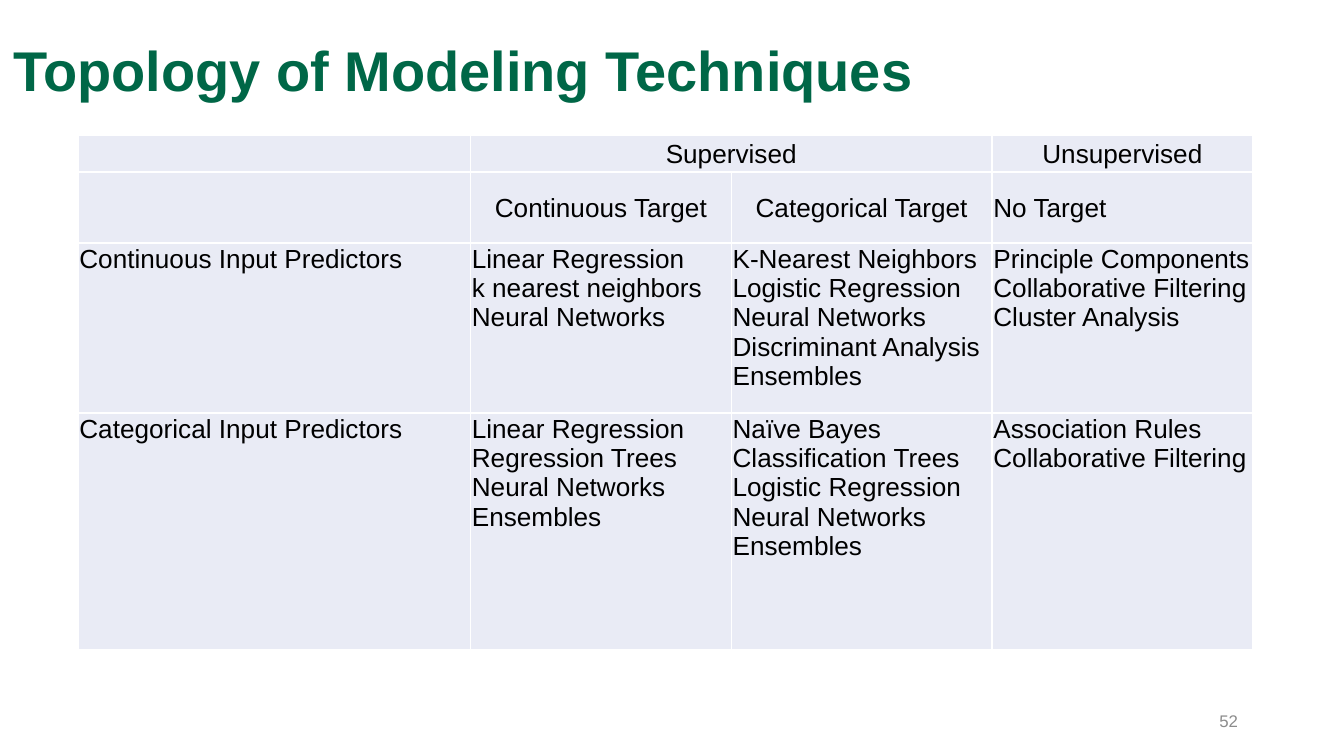
from lxml.etree import SubElement
from pptx import Presentation
from pptx.dml.color import RGBColor
from pptx.enum.text import MSO_ANCHOR as Anchor, PP_ALIGN as Align
from pptx.oxml.ns import qn
from pptx.util import Pt

TITLE = "Topology of Modeling Techniques"
PAGE_NUMBER = "52"
HEADER_ROWS = 2
TECHNIQUES = [
    [[], ["Supervised"], [], ["Unsupervised"]],
    [[], ["Continuous Target"], ["Categorical Target"], ["No Target"]],
    [
        ["Continuous Input Predictors"],
        ["Linear Regression", "k nearest neighbors", "Neural Networks"],
        ["K-Nearest Neighbors", "Logistic Regression", "Neural Networks",
         "Discriminant Analysis", "Ensembles"],
        ["Principle Components", "Collaborative Filtering", "Cluster Analysis"],
    ],
    [
        ["Categorical Input Predictors"],
        ["Linear Regression", "Regression Trees", "Neural Networks", "Ensembles"],
        ["Naïve Bayes Classification Trees", "Logistic Regression",
         "Neural Networks", "Ensembles"],
        ["Association Rules", "Collaborative Filtering"],
    ],
]
COLUMN_WIDTHS = [210.3, 139.7, 139.7, 139.7]
ROW_HEIGHTS = [20, 38, 91, 127]
GREEN, BLACK, GRAY, WHITE, PALE = "006747", "000000", "8C8C8C", "FFFFFF", "E9EBF5"


def paint(target, color):
    if hasattr(target, "solid"):
        target.solid()
        target.fore_color.rgb = RGBColor.from_string(color)
    else:
        target.color.rgb = RGBColor.from_string(color)


def format_text(frame, size, color, align=Align.LEFT, bold=False):
    for paragraph in frame.paragraphs:
        paragraph.alignment = align
        for run in paragraph.runs:
            run.font.name = "Arial"
            run.font.size = Pt(size)
            run.font.bold = bold
            paint(run.font, color)


def add_borders(cell):
    properties = cell._tc.get_or_add_tcPr()
    for position, side in enumerate(("a:lnL", "a:lnR", "a:lnT", "a:lnB")):
        line = SubElement(properties, qn(side), w=str(Pt(1)))
        fill = SubElement(line, qn("a:solidFill"))
        SubElement(fill, qn("a:srgbClr"), val=WHITE)
        properties.insert(position, line)


def fill_cell(cell, lines, row, column):
    cell.margin_left = cell.margin_right = cell.margin_top = Pt(0.7)
    cell.margin_bottom = Pt(0)
    header = row < HEADER_ROWS
    cell.vertical_anchor = Anchor.MIDDLE if header else Anchor.TOP
    centred = header and lines != ["No Target"]
    cell.text_frame.text = "\n".join(lines)
    format_text(cell.text_frame, 14, BLACK, Align.CENTER if centred else Align.LEFT)
    if not lines:
        SubElement(cell.text_frame.paragraphs[0]._p, qn("a:endParaRPr"), sz="1400")
    paint(cell.fill, PALE)
    add_borders(cell)


presentation = Presentation()
presentation.slide_width, presentation.slide_height = Pt(720), Pt(405)
slide = presentation.slides.add_slide(presentation.slide_layouts[5])

title = slide.shapes.title
title.left, title.top, title.width, title.height = Pt(0), Pt(0), Pt(620.6), Pt(78.5)
title.text_frame.text = TITLE
title.text_frame.vertical_anchor = Anchor.MIDDLE
title.text_frame.paragraphs[0].line_spacing = 0.9
format_text(title.text_frame, 30, GREEN, bold=True)

table = slide.shapes.add_table(
    len(ROW_HEIGHTS), len(COLUMN_WIDTHS), Pt(41.8), Pt(72.3),
    Pt(sum(COLUMN_WIDTHS)), Pt(sum(ROW_HEIGHTS))).table
table.first_row = table.horz_banding = False
for column, width in zip(table.columns, COLUMN_WIDTHS):
    column.width = Pt(width)
for row, height in zip(table.rows, ROW_HEIGHTS):
    row.height = Pt(height)
for r, entries in enumerate(TECHNIQUES):
    for c, lines in enumerate(entries):
        fill_cell(table.cell(r, c), lines, r, c)
table.cell(0, 1).merge(table.cell(0, 2))

number = slide.shapes.add_textbox(Pt(508.3), Pt(375.1), Pt(162), Pt(21.6))
number.text_frame.word_wrap = True
number.text_frame.vertical_anchor = Anchor.MIDDLE
number.text_frame.text = PAGE_NUMBER
format_text(number.text_frame, 9, GRAY, Align.RIGHT)

presentation.save("out.pptx")
